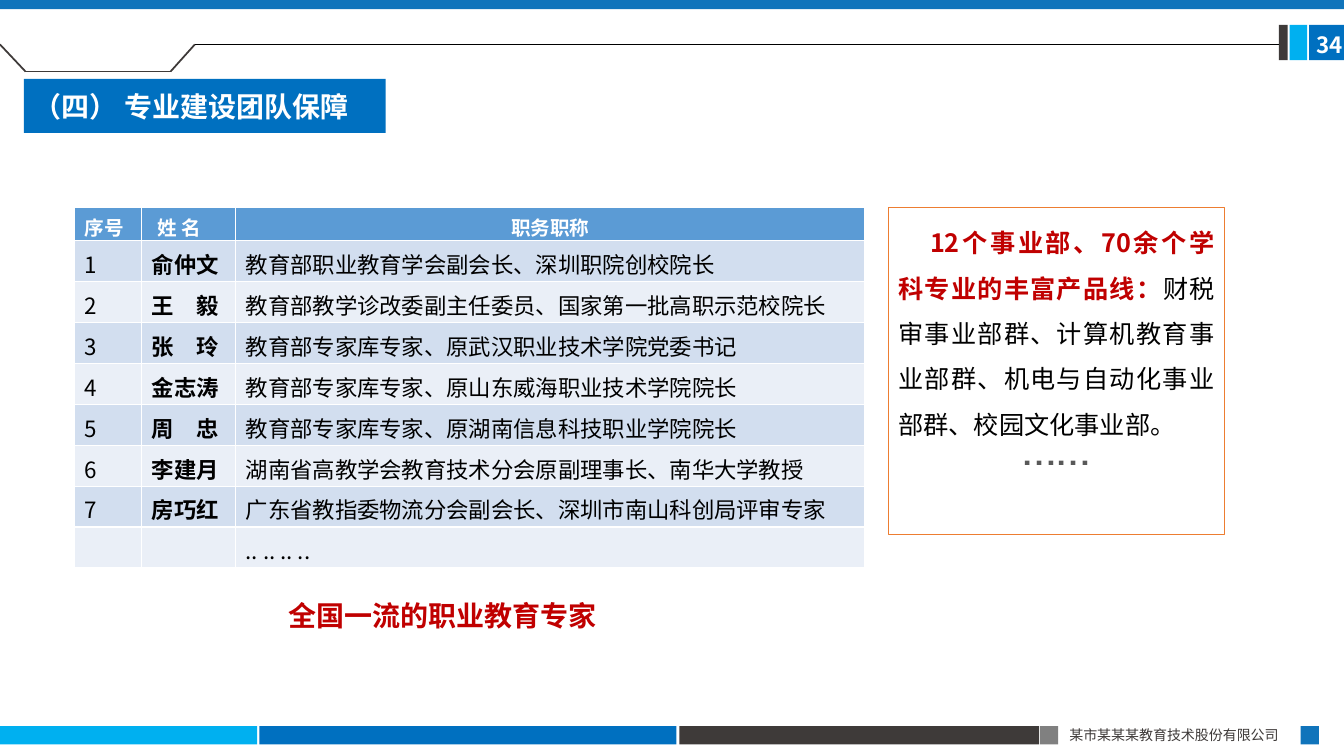
import pptx
import pptx.util
import pptx.dml.color
import pptx.enum.shapes
import pptx.enum.text
import pptx.oxml.ns
from lxml import etree

Cm = pptx.util.Cm
Pt = pptx.util.Pt
ALIGN = pptx.enum.text.PP_ALIGN
MIDDLE = pptx.enum.text.MSO_ANCHOR.MIDDLE
RECTANGLE = pptx.enum.shapes.MSO_SHAPE.RECTANGLE
CJK = "Noto Sans CJK SC"
COLORS = {
    "blue": "0070C0", "sky": "00B0F0", "band": "1074BB", "dark": "3E3A39",
    "gray": "808080", "white": "FFFFFF", "black": "000000", "red": "C00000",
    "orange": "ED7D31", "dots": "595959", "header": "5B9BD5",
    "odd": "D2DEEF", "even": "EAEFF7",
}


def rgb(name):
    return pptx.dml.color.RGBColor.from_string(COLORS[name])


def add_span(para, text, size, color, bold=False, font=CJK):
    span = para.add_run()
    span.text = text
    span.font.size = Pt(size)
    span.font.bold = bold
    span.font.color.rgb = rgb(color)
    span.font.name = font
    east_asian = etree.SubElement(span.font._element, pptx.oxml.ns.qn("a:ea"))
    east_asian.set("typeface", CJK)


deck = pptx.Presentation()
deck.slide_width = Cm(33.87)
deck.slide_height = Cm(19.05)
page = deck.slides.add_slide(deck.slide_layouts[5])

bars = [
    (0, 18.3, 6.48, 0.46, "sky"),
    (6.54, 18.3, 10.51, 0.46, "blue"),
    (17.12, 18.3, 9.07, 0.46, "dark"),
    (26.21, 18.3, 0.46, 0.46, "gray"),
    (32.78, 18.3, 0.46, 0.46, "band"),
    (32.99, 0.63, 0.88, 0.89, "blue"),
    (32.5, 0.63, 0.44, 0.89, "sky"),
    (32.23, 0.63, 0.22, 0.89, "dark"),
    (0, 0, 33.87, 0.23, "band"),
]
for left, top, width, height, color in bars:
    bar = page.shapes.add_shape(RECTANGLE, Cm(left), Cm(top), Cm(width), Cm(height))
    bar.shadow.inherit = False
    bar.fill.solid()
    bar.fill.fore_color.rgb = rgb(color)
    bar.line.fill.background()

rules = [
    (0.64, 1.8, 4.3, 1.8, "dark", 1.25),
    (4.3, 1.8, 4.91, 1.12, "dark", 1.25),
    (0.64, 1.8, 0, 1.12, "dark", 1.25),
    (4.91, 1.12, 32.23, 1.12, "black", 0.5),
]
for x1, y1, x2, y2, color, weight in rules:
    rule = page.shapes.add_connector(
        pptx.enum.shapes.MSO_CONNECTOR.STRAIGHT, Cm(x1), Cm(y1), Cm(x2), Cm(y2))
    rule.line.color.rgb = rgb(color)
    rule.line.width = Pt(weight)
    etree.SubElement(rule._element.spPr, pptx.oxml.ns.qn("a:effectLst"))

title = page.shapes.title
title.left, title.top, title.width, title.height = Cm(0.6), Cm(1.99), Cm(9.12), Cm(1.36)
title.fill.solid()
title.fill.fore_color.rgb = rgb("blue")
title.text_frame.auto_size = pptx.enum.text.MSO_AUTO_SIZE.NONE
title.text_frame.vertical_anchor = MIDDLE
title.text_frame.paragraphs[0].alignment = ALIGN.LEFT
add_span(title.text_frame.paragraphs[0], "（四） 专业建设团队保障", 20, "white", True, "Calibri")

labels = [
    ("某市某某某教育技术股份有限公司", 26.7, 18.19, 6.1, 0.68, 10, "dark", False),
    ("34", 32.92, 0.67, 1.27, 0.93, 16, "white", True),
    ("全国一流的职业教育专家", 7.02, 14.95, 10.86, 1.11, 20, "red", True),
]
for text, left, top, width, height, size, color, bold in labels:
    box = page.shapes.add_textbox(Cm(left), Cm(top), Cm(width), Cm(height))
    box.text_frame.word_wrap = True
    add_span(box.text_frame.paragraphs[0], text, size, color, bold)

experts = [
    ("俞仲文", "教育部职业教育学会副会长、深圳职院创校院长"),
    ("王　毅", "教育部教学诊改委副主任委员、国家第一批高职示范校院长"),
    ("张　玲", "教育部专家库专家、原武汉职业技术学院党委书记"),
    ("金志涛", "教育部专家库专家、原山东威海职业技术学院院长"),
    ("周　忠", "教育部专家库专家、原湖南信息科技职业学院院长"),
    ("李建月", "湖南省高教学会教育技术分会原副理事长、南华大学教授"),
    ("房巧红", "广东省教指委物流分会副会长、深圳市南山科创局评审专家"),
]
rows = [("序号", "姓 名", "职务职称")]
rows += [(str(number), *expert) for number, expert in enumerate(experts, 1)]
rows.append(("", "", ".. .. .. .."))

table = page.shapes.add_table(len(rows), 3, Cm(1.88), Cm(5.23), Cm(19.92), Cm(9.08)).table
for column, width in zip(table.columns, (1.69, 2.37, 15.86)):
    column.width = Cm(width)
for r, values in enumerate(rows):
    table.rows[r].height = Cm(1.03 if r else 0.84)
    for c, text in enumerate(values):
        cell = table.cell(r, c)
        cell.fill.solid()
        cell.fill.fore_color.rgb = rgb("header" if r == 0 else "odd" if r % 2 else "even")
        cell.margin_top = Cm(0.13)
        cell.margin_bottom = 0
        cell.vertical_anchor = MIDDLE
        para = cell.text_frame.paragraphs[0]
        if text and r == 0:
            add_span(para, text, 14, "white", True)
        elif text:
            add_span(para, text, 16, "black", c == 1)
table.cell(0, 1).margin_left = Cm(0.4)
table.cell(0, 2).text_frame.paragraphs[0].alignment = ALIGN.CENTER

panel = page.shapes.add_shape(RECTANGLE, Cm(22.39), Cm(5.23), Cm(8.47), Cm(8.23))
panel.shadow.inherit = False
panel.fill.background()
panel.line.color.rgb = rgb("orange")
panel.line.width = Pt(0.75)
panel.text_frame.word_wrap = True
panel.text_frame.vertical_anchor = pptx.enum.text.MSO_ANCHOR.TOP
para = panel.text_frame.paragraphs[0]
para.alignment = ALIGN.JUSTIFY
para.line_spacing = 1.5
para._p.get_or_add_pPr().set("indent", str(Cm(0.8)))
add_span(para, "12个事业部、70余个学科专业的丰富产品线：", 18, "red", True)
add_span(para, "财税审事业部群、计算机教育事业部群、机电与自动化事业部群、校园文化事业部。", 18, "black")
para = panel.text_frame.add_paragraph()
para.alignment = ALIGN.CENTER
para.line_spacing = Pt(25.6)
add_span(para, "……", 36, "dots", font="Cabin")

deck.save("out.pptx")
